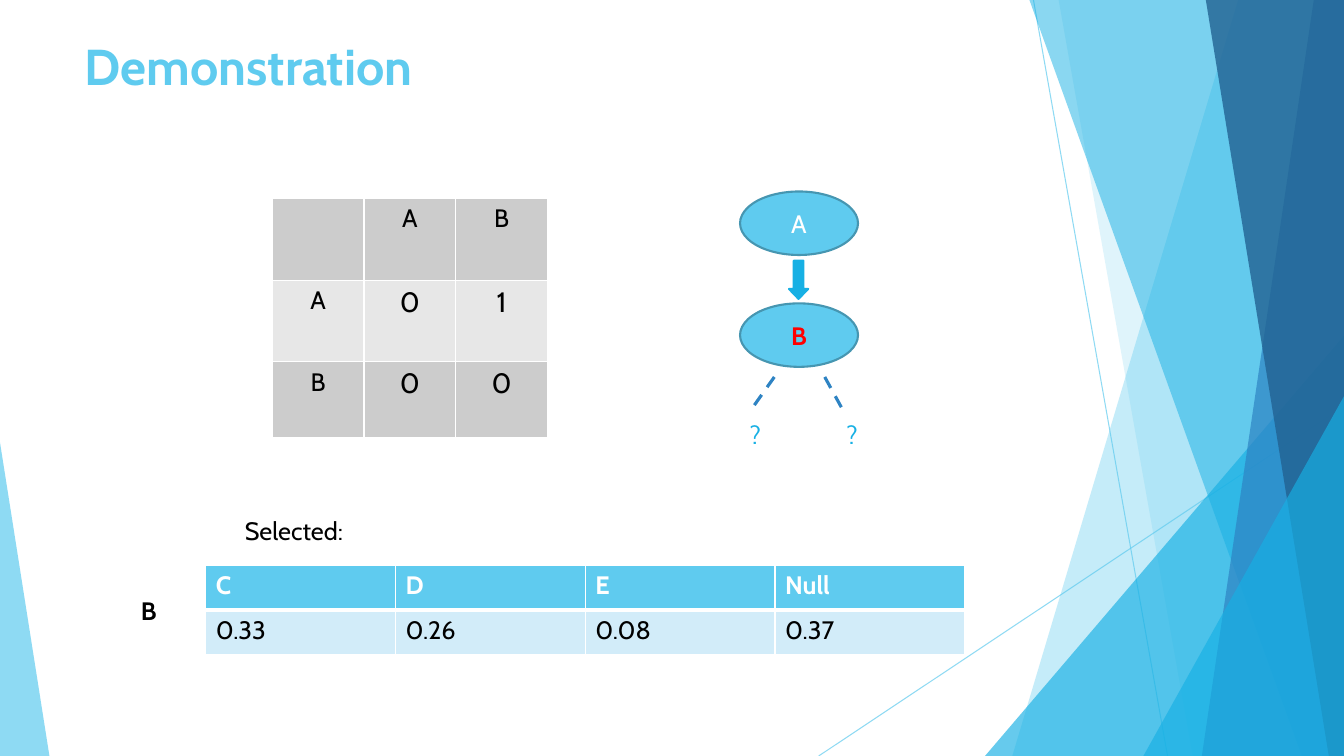
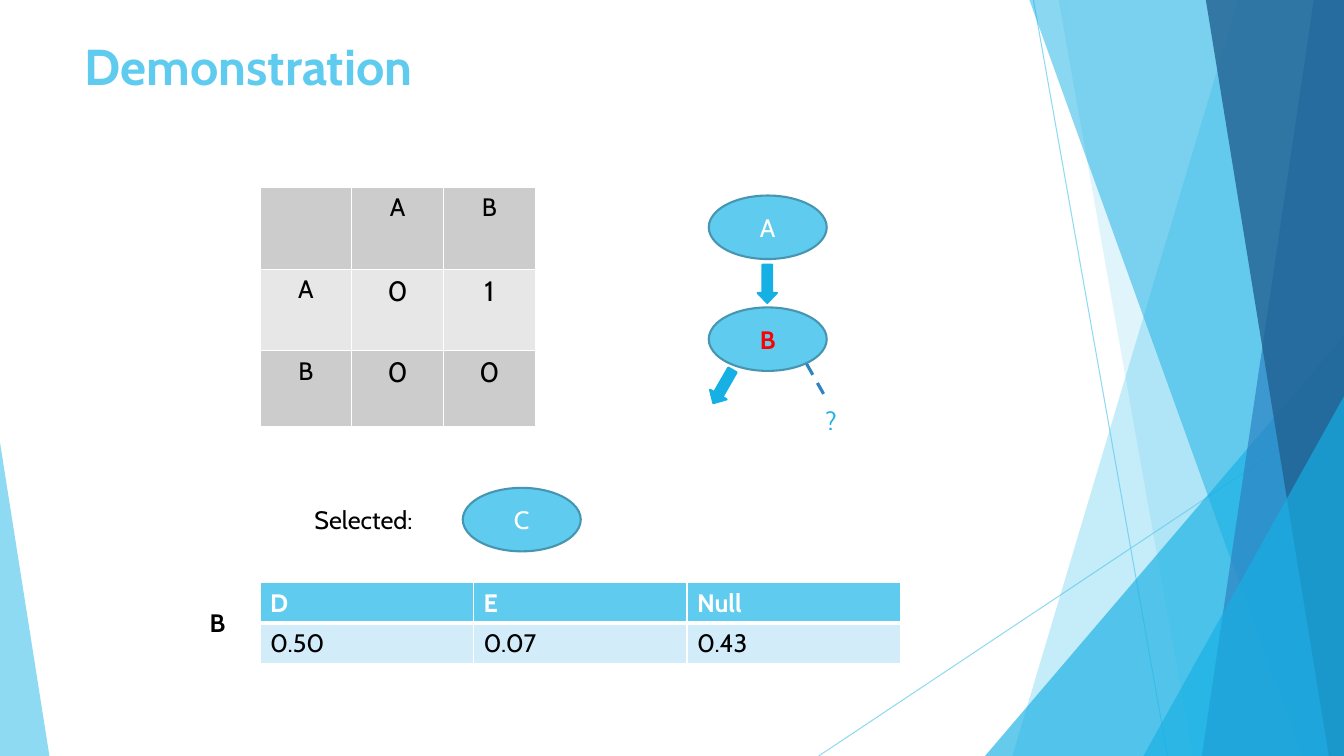
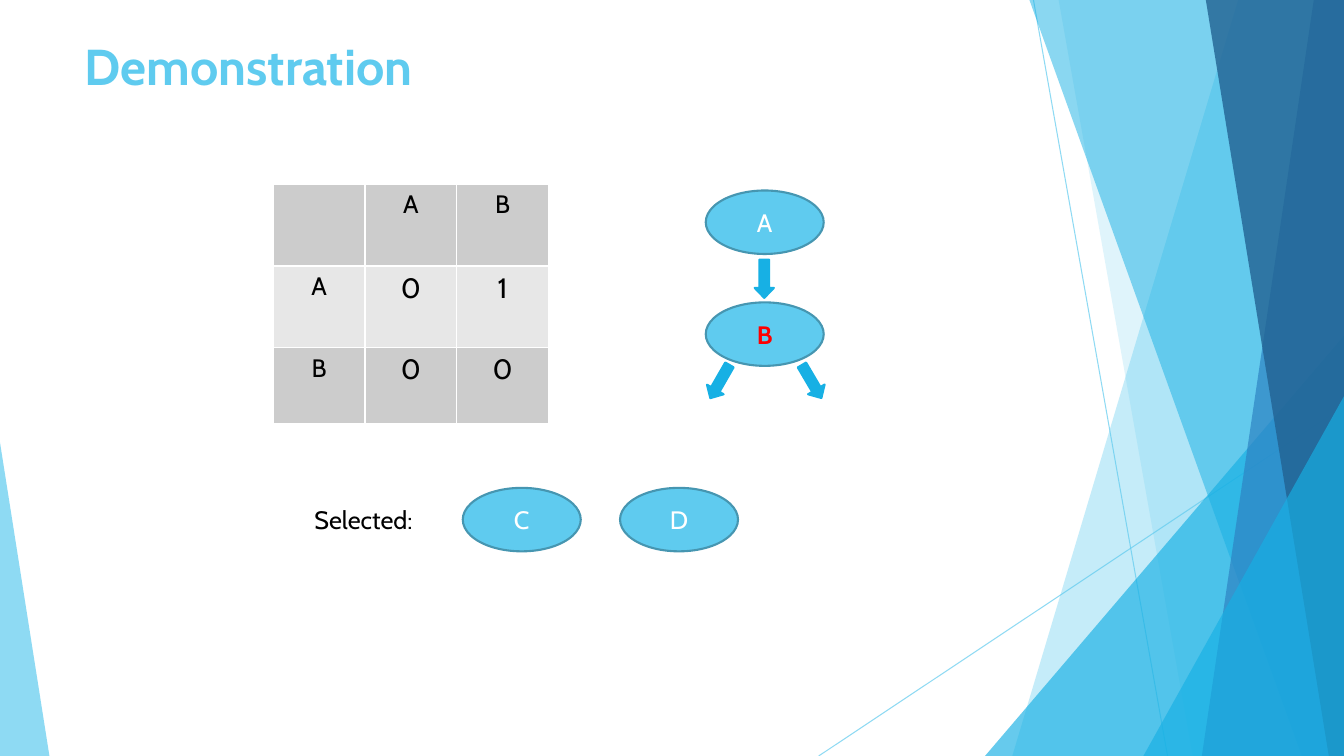
from pptx import Presentation
from pptx.dml.color import RGBColor
from pptx.enum import dml, shapes, text
from pptx.oxml import ns, xmlchemy
from pptx.util import Inches, Pt

SLIDE_W, SLIDE_H = 13.33, 7.5
FONT = "Cabin"
SKY = RGBColor(0x5F, 0xCB, 0xEF)
CYAN = RGBColor(0x17, 0xB0, 0xE4)
BLUE = RGBColor(0x2E, 0x83, 0xC3)
NAVY = RGBColor(0x22, 0x62, 0x92)
NODE_EDGE = RGBColor(0x46, 0x96, 0xB1)
GRAY = RGBColor(0xCC, 0xCC, 0xCC)
LIGHT_GRAY = RGBColor(0xE7, 0xE7, 0xE7)
PALE_BLUE = RGBColor(0xD2, 0xEC, 0xF9)
RED = RGBColor(0xFF, 0, 0)
BLACK = RGBColor(0, 0, 0)
WHITE = RGBColor(0xFF, 0xFF, 0xFF)

NODE_W, NODE_H = 1.17, 0.63
ARROW_W, ARROW_H = 0.38, 0.19
# Arrow places relative to the corner of node A: left, top, rotation
DOWN_ARROW = (0.39, 0.78, 270)
LEFT_ARROW = (-0.05, 1.8, 299.9)
RIGHT_ARROW = (0.86, 1.8, 239.5)
NODE_STEP_Y = 1.11
SELECTED_STEP_X = 1.56
MATRIX = [["", "A", "B"], ["A", "0", "1"], ["B", "0", "0"]]
MATRIX_ROWS = [0.81, 0.81, 0.75]


def box(*lengths):
    return [Inches(length) for length in lengths]


def write(frame, words, color, size=18, bold=False, align=text.PP_ALIGN.LEFT):
    paragraph = frame.paragraphs[0]
    paragraph.alignment = align
    run = paragraph.add_run()
    run.text = words
    for name, value in {"name": FONT, "size": Pt(size), "bold": bold}.items():
        setattr(run.font, name, value)
    run.font.color.rgb = color


def set_alpha(shape, percent):
    """Make the only colour in the shape's own properties see-through."""
    color = next(shape.element.spPr.iter(ns.qn("a:srgbClr")))
    alpha = xmlchemy.OxmlElement("a:alpha")
    alpha.set("val", str(percent * 1000))
    color.append(alpha)


def paint(shape, fill, edge=None):
    shape.shadow.inherit = False
    shape.fill.solid()
    shape.fill.fore_color.rgb = fill
    if edge is None:
        shape.line.fill.background()
    else:
        shape.line.color.rgb = edge
        shape.line.width = Pt(1.5)


def add_line(slide, start, end, color, width):
    line = slide.shapes.add_connector(
        shapes.MSO_CONNECTOR.STRAIGHT, *box(*start, *end))
    line.line.color.rgb = color
    line.line.width = Pt(width)
    line.element.spPr.append(xmlchemy.OxmlElement("a:effectLst"))
    return line


def add_dash(slide, start, end):
    line = add_line(slide, start, end, BLUE, 2.25)
    line.line.dash_style = dml.MSO_LINE.DASH


def add_ray(slide, start, end):
    ray = add_line(slide, start, end, SKY, 0.75)
    set_alpha(ray, 70)
    return ray


def add_facet(slide, top_x, bottom_x, color, alpha):
    """Fill from a slanted left edge to the right edge of the slide."""
    corners = [(SLIDE_W, 0), (SLIDE_W, SLIDE_H), (bottom_x, SLIDE_H)]
    outline = slide.shapes.build_freeform(*box(top_x, 0))
    outline.add_line_segments([box(*corner) for corner in corners])
    facet = outline.convert_to_shape()
    paint(facet, color)
    set_alpha(facet, alpha)
    return facet


def add_wedge(slide, left, top, width, apex, color, alpha):
    """Right-angled triangle standing on the bottom of the slide."""
    wedge = slide.shapes.add_shape(
        shapes.MSO_SHAPE.ISOSCELES_TRIANGLE,
        *box(left, top, width, SLIDE_H - top))
    wedge.adjustments[0] = apex
    paint(wedge, color)
    set_alpha(wedge, alpha)
    return wedge


def build_backdrop(slide):
    """Draw the facets and move them to the layout that all slides share."""
    layout = slide.slide_layout
    for holder in list(layout.placeholders):
        if holder.placeholder_format.type != shapes.PP_PLACEHOLDER.TITLE:
            layout.shapes.element.remove(holder.element)
    parts = [
        add_ray(slide, (10.25, 0), (11.58, SLIDE_H)),
        add_ray(slide, (SLIDE_W, 4.03), (8.12, SLIDE_H)),
        add_facet(slide, 12.28, 10.04, SKY, 36),
        add_facet(slide, 10.5, 11.83, SKY, 20),
        add_wedge(slide, 9.77, 3.33, 3.56, 1, CYAN, 66),
        add_facet(slide, 10.21, 12.91, CYAN, 50),
        add_facet(slide, 13.03, 11.92, BLUE, 70),
        add_facet(slide, 11.96, 13.18, NAVY, 80),
        add_wedge(slide, 11.34, 3.93, 1.99, 1, CYAN, 66),
        add_wedge(slide, 0, 4.39, 0.49, 0, SKY, 70),
    ]
    for part in parts:
        layout.shapes.element.append(part.element)


def add_title(slide, words):
    title = slide.shapes.title
    title.left, title.top, title.width, title.height = box(0.74, 0.3, 9.4, 1.44)
    title.text_frame.vertical_anchor = text.MSO_ANCHOR.TOP
    write(title.text_frame, words, SKY, 36, True)


def add_label(slide, left, top, width, words, color=BLACK, bold=False):
    label = slide.shapes.add_textbox(*box(left, top, width, 0.4))
    label.text_frame.word_wrap = True
    write(label.text_frame, words, color, bold=bold)


def add_question(slide, left, top):
    add_label(slide, left, top, 0.3, "?", CYAN)


def add_node(slide, left, top, letter, color=WHITE, bold=False):
    node = slide.shapes.add_shape(
        shapes.MSO_SHAPE.OVAL, *box(left, top, NODE_W, NODE_H))
    paint(node, SKY, NODE_EDGE)
    node.text_frame.vertical_anchor = text.MSO_ANCHOR.MIDDLE
    write(node.text_frame, letter, color, bold=bold, align=text.PP_ALIGN.CENTER)


def add_tree(slide, left, top, *branches):
    """Node A over the current node B, with arrows for the found branches."""
    add_node(slide, left, top, "A")
    add_node(slide, left, top + NODE_STEP_Y, "B", RED, True)
    for dx, dy, rotation in (DOWN_ARROW, *branches):
        arrow = slide.shapes.add_shape(
            shapes.MSO_SHAPE.LEFT_ARROW,
            *box(left + dx, top + dy, ARROW_W, ARROW_H))
        arrow.adjustments[0], arrow.adjustments[1] = 0.5, 0.52
        arrow.rotation = rotation
        paint(arrow, CYAN, CYAN)


def format_cell(cell, fill, top=1, bottom=1):
    edges = {"a:lnL": 1, "a:lnR": 1, "a:lnT": top, "a:lnB": bottom}
    properties = cell._tc.get_or_add_tcPr()
    for tag, width in edges.items():
        edge = xmlchemy.OxmlElement(tag)
        edge.set("w", str(Pt(width)))
        solid = xmlchemy.OxmlElement("a:solidFill")
        color = xmlchemy.OxmlElement("a:srgbClr")
        color.set("val", str(WHITE))
        solid.append(color)
        edge.append(solid)
        properties.append(edge)
    cell.fill.solid()
    cell.fill.fore_color.rgb = fill


def add_matrix(slide, left, top):
    table = slide.shapes.add_table(
        3, 3, *box(left, top, 2.73, sum(MATRIX_ROWS))).table
    for r, (height, entries) in enumerate(zip(MATRIX_ROWS, MATRIX)):
        table.rows[r].height = Inches(height)
        for c, entry in enumerate(entries):
            cell = table.cell(r, c)
            format_cell(cell, LIGHT_GRAY if r % 2 else GRAY)
            if entry:
                write(cell.text_frame, entry, BLACK, 20 if r and c else 18,
                      align=text.PP_ALIGN.CENTER)


def add_probabilities(slide, left, top, width, row_height, chances):
    table = slide.shapes.add_table(
        2, len(chances), *box(left, top, width, 2 * row_height)).table
    for c, (letter, chance) in enumerate(chances.items()):
        head, value = table.cell(0, c), table.cell(1, c)
        format_cell(head, SKY, bottom=3)
        format_cell(value, PALE_BLUE, top=3)
        write(head.text_frame, letter, WHITE, bold=True)
        write(value.text_frame, chance, BLACK)


def add_selected(slide, left, top, letters=""):
    add_label(slide, left, top, 1.34, "Selected:")
    for i, letter in enumerate(letters):
        add_node(slide, left + 1.57 + i * SELECTED_STEP_X, top - 0.11, letter)


def main():
    deck = Presentation()
    deck.slide_width, deck.slide_height = box(SLIDE_W, SLIDE_H)
    title_only = deck.slide_layouts[5]
    slides = [deck.slides.add_slide(title_only) for _ in range(3)]
    build_backdrop(slides[0])
    for slide in slides:
        add_title(slide, "Demonstration")
    none_found, one_found, both_found = slides

    add_matrix(none_found, 2.7, 1.97)
    add_tree(none_found, 7.34, 1.9)
    add_dash(none_found, (7.68, 3.74), (7.46, 4.05))
    add_dash(none_found, (8.18, 3.74), (8.35, 4.05))
    add_question(none_found, 7.34, 4.11)
    add_question(none_found, 8.3, 4.11)
    add_selected(none_found, 2.33, 5.06)
    add_label(none_found, 1.3, 5.86, 0.35, "B", bold=True)
    add_probabilities(none_found, 2.04, 5.61, 7.53, 0.44, {
        "C": "0.33", "D": "0.26", "E": "0.08", "Null": "0.37"})

    add_matrix(one_found, 2.58, 1.86)
    add_tree(one_found, 7.03, 1.94, LEFT_ARROW)
    add_dash(one_found, (8, 3.61), (8.17, 3.91))
    add_question(one_found, 8.09, 3.97)
    add_selected(one_found, 3.02, 4.95, "C")
    add_label(one_found, 1.98, 5.98, 0.35, "B", bold=True)
    add_probabilities(one_found, 2.58, 5.78, 6.35, 0.39, {
        "D": "0.50", "E": "0.07", "Null": "0.43"})

    add_matrix(both_found, 2.71, 1.83)
    add_tree(both_found, 7, 1.89, LEFT_ARROW, RIGHT_ARROW)
    add_selected(both_found, 3.02, 4.95, "CD")

    deck.save("out.pptx")


if __name__ == "__main__":
    main()
